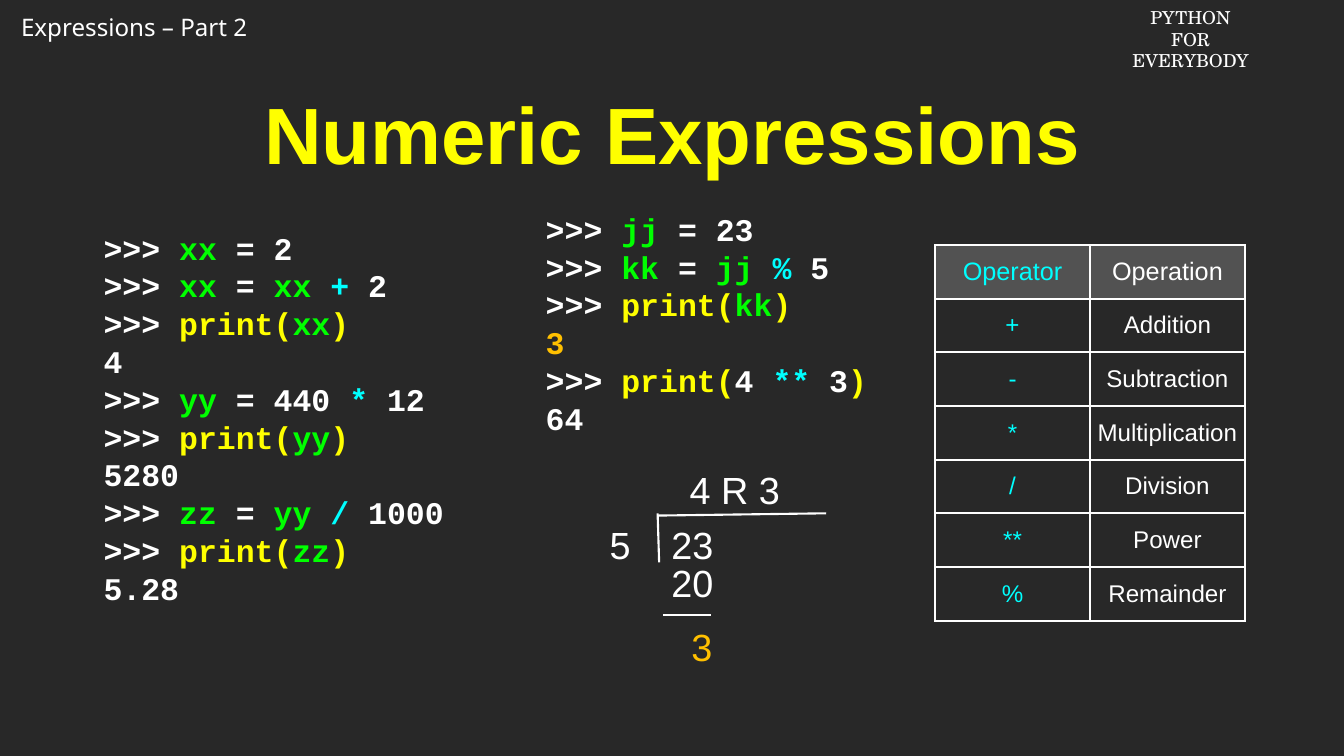
from dataclasses import dataclass

from pptx import Presentation
from pptx.dml.color import RGBColor as RGB
from pptx.enum.shapes import MSO_CONNECTOR as CONN
from pptx.enum.text import MSO_ANCHOR as ANCHOR, PP_ALIGN as ALIGN
from pptx.oxml import parse_xml
from pptx.oxml.ns import nsdecls, qn
from pptx.util import Inches, Pt


@dataclass(frozen=True)
class Theme:
    """Colours, fonts and type sizes of the slide."""
    back: str = "282828"
    white: str = "FFFFFF"
    yellow: str = "FFFF00"
    green: str = "00FF00"
    cyan: str = "00FFFF"
    orange: str = "FFC000"
    grey: str = "7F7F7F"
    grey_alpha: int = 49
    sans: str = "Arial"
    mono: str = "Courier New"
    header: str = "Noto Sans"
    serif: str = "TeX Gyre Schola"
    title_size: int = 76
    digit_size: int = 36
    code_size: int = 30
    code_pitch: int = 36
    head_size: int = 24
    body_size: int = 23
    course_size: int = 17
    line: int = 2


T = Theme()
INK = {"w": T.white, "y": T.yellow, "g": T.green, "c": T.cyan, "o": T.orange}

ASSIGN_CODE = [
    ">>> |g:xx| = 2",
    ">>> |g:xx| = |g:xx |c:+| 2",
    ">>> |y:print(|g:xx|y:)",
    "4",
    ">>> |g:yy| = 440 |c:*| 12",
    ">>> |y:print(|g:yy|y:)",
    "5280",
    ">>> |g:zz| = |g:yy |c:/| 1000",
    ">>> |y:print(|g:zz|y:)",
    "5.28",
]
REMAINDER_CODE = [
    ">>> |g:jj| = 23",
    ">>> |g:kk| = |g:jj |c:% |5",
    ">>> |y:print(|g:kk|y:)",
    "o:3",
    ">>> |y:print(|4 |c:** |3|y:)",
    "64",
]
OPERATORS = [
    ("Operator", "Operation"),
    ("+", "Addition"),
    ("-", "Subtraction"),
    ("*", "Multiplication"),
    ("/", "Division"),
    ("**", "Power"),
    ("%", "Remainder"),
]
DIVISION_DIGITS = [
    ("5", 8.02, 6.86, 0.37, T.white),
    ("23", 8.85, 6.86, 0.62, T.white),
    ("4 R 3", 9.12, 6.13, 1.2, T.white),
    ("20", 8.85, 7.36, 0.62, T.white),
    ("3", 9.1, 8.21, 0.37, T.orange),
]
DIVISION_LINES = [
    (8.7, 6.79, 8.72, 7.44),
    (8.7, 6.82, 10.93, 6.79),
    (8.77, 8.14, 9.41, 8.14),
]


def colour_runs(line, color):
    """Split a marked line into (text, colour) pairs."""
    for part in line.split("|"):
        key, mark, text = part.partition(":")
        yield (text, INK[key]) if mark else (part, color)


def write(tf, lines, *, size, font=T.sans, color=T.white, bold=False,
          align=ALIGN.LEFT, anchor=ANCHOR.TOP, inset=(0, 0), wrap=True, pitch=None):
    """Fill a text frame with marked lines in one format."""
    tf.word_wrap = wrap
    tf.vertical_anchor = anchor
    tf.margin_left = tf.margin_right = Inches(inset[0])
    tf.margin_top = tf.margin_bottom = Inches(inset[1])
    for i, line in enumerate(lines):
        p = tf.add_paragraph() if i else tf.paragraphs[0]
        p.alignment = align
        if pitch:
            p.line_spacing = Pt(pitch)
        for text, ink in colour_runs(line, color):
            r = p.add_run()
            r.text = text
            r.font.size, r.font.name, r.font.bold = Pt(size), font, bold
            r.font.color.rgb = RGB.from_string(ink)


class Deck:
    """Holds the theme and the current slide."""

    def __init__(self, prs, theme):
        self.theme = theme
        self.s = prs.slides.add_slide(prs.slide_layouts[6])
        fill = self.s.background.fill
        fill.solid()
        fill.fore_color.rgb = RGB.from_string(theme.back)

    def text(self, lines, x, y, w, h, **fmt):
        """Add a text box."""
        sp = self.s.shapes.add_textbox(Inches(x), Inches(y), Inches(w), Inches(h))
        write(sp.text_frame, lines, **fmt)

    def code(self, lines, x, y, w, h):
        """Add a block of coloured console code."""
        self.text(lines, x, y, w, h, size=self.theme.code_size, font=self.theme.mono,
                  bold=True, anchor=ANCHOR.MIDDLE, pitch=self.theme.code_pitch)

    def line(self, x1, y1, x2, y2):
        """Add a straight line."""
        cn = self.s.shapes.add_connector(
            CONN.STRAIGHT, Inches(x1), Inches(y1), Inches(x2), Inches(y2))
        cn.line.color.rgb = RGB.from_string(self.theme.white)
        cn.line.width = Pt(self.theme.line)
        cn._element.spPr.append(parse_xml(f"<a:effectLst {nsdecls('a')}/>"))

    def border(self, cell):
        """Draw all four borders of a cell."""
        tcPr = cell._tc.get_or_add_tcPr()
        for side in ("lnL", "lnR", "lnT", "lnB"):
            tcPr.append(parse_xml(
                f'<a:{side} {nsdecls("a")} w="{Pt(self.theme.line)}"><a:solidFill>'
                f'<a:srgbClr val="{self.theme.white}"/></a:solidFill></a:{side}>'))

    def shade(self, cell):
        """Fill a cell with translucent grey."""
        cell.fill.solid()
        cell.fill.fore_color.rgb = RGB.from_string(self.theme.grey)
        clr = cell._tc.tcPr.find(qn("a:solidFill")).find(qn("a:srgbClr"))
        clr.append(parse_xml(
            f'<a:alpha {nsdecls("a")} val="{self.theme.grey_alpha * 1000}"/>'))

    def table(self, rows, x, y, col_w, row_h):
        """Add a bordered table with a shaded first row."""
        n = len(rows[0])
        tbl = self.s.shapes.add_table(len(rows), n, Inches(x), Inches(y),
                                      Inches(col_w * n), Inches(row_h * len(rows))).table
        tbl.first_row = tbl.horz_banding = False
        for col in tbl.columns:
            col.width = Inches(col_w)
        for i, row in enumerate(rows):
            tbl.rows[i].height = Inches(row_h)
            for j, text in enumerate(row):
                cell = tbl.cell(i, j)
                write(cell.text_frame, [text], align=ALIGN.CENTER,
                      size=self.theme.body_size if i else self.theme.head_size,
                      color=self.theme.white if j else self.theme.cyan)
                cell.vertical_anchor = ANCHOR.MIDDLE
                cell.margin_left = cell.margin_right = Inches(0.04)
                cell.margin_top = cell.margin_bottom = Inches(0.04)
                self.border(cell)
                if i:
                    cell.fill.background()
                else:
                    self.shade(cell)


def main():
    """Build the slide and save it."""
    prs = Presentation()
    prs.slide_width, prs.slide_height = Inches(17.78), Inches(10)
    deck = Deck(prs, T)
    deck.text(["Expressions – Part 2"], 0.18, 0.12, 3.35, 0.49,
              size=T.body_size, font=T.header, inset=(0.1, 0.05))
    deck.text(["PYTHON FOR", "EVERYBODY"], 14.88, 0.04, 1.74, 0.67,
              size=T.course_size, font=T.serif, align=ALIGN.CENTER, inset=(0.08, 0.05))
    deck.text(["Numeric Expressions"], 0.89, 1.09, 16, 1.34, size=T.title_size,
              color=T.yellow, bold=True, align=ALIGN.CENTER, anchor=ANCHOR.MIDDLE,
              inset=(0.04, 0.04))
    deck.code(ASSIGN_CODE, 1.37, 2.62, 4.88, 5.81)
    deck.code(REMAINDER_CODE, 7.22, 2.51, 4.4, 3.53)
    deck.table(OPERATORS, 12.37, 3.24, 2.05, 0.71)
    for ends in DIVISION_LINES:
        deck.line(*ends)
    for text, x, y, w, color in DIVISION_DIGITS:
        deck.text([text], x, y, w, 0.68, size=T.digit_size, color=color,
                  align=ALIGN.CENTER, anchor=ANCHOR.MIDDLE, wrap=False)
    prs.save("out.pptx")


if __name__ == "__main__":
    main()
